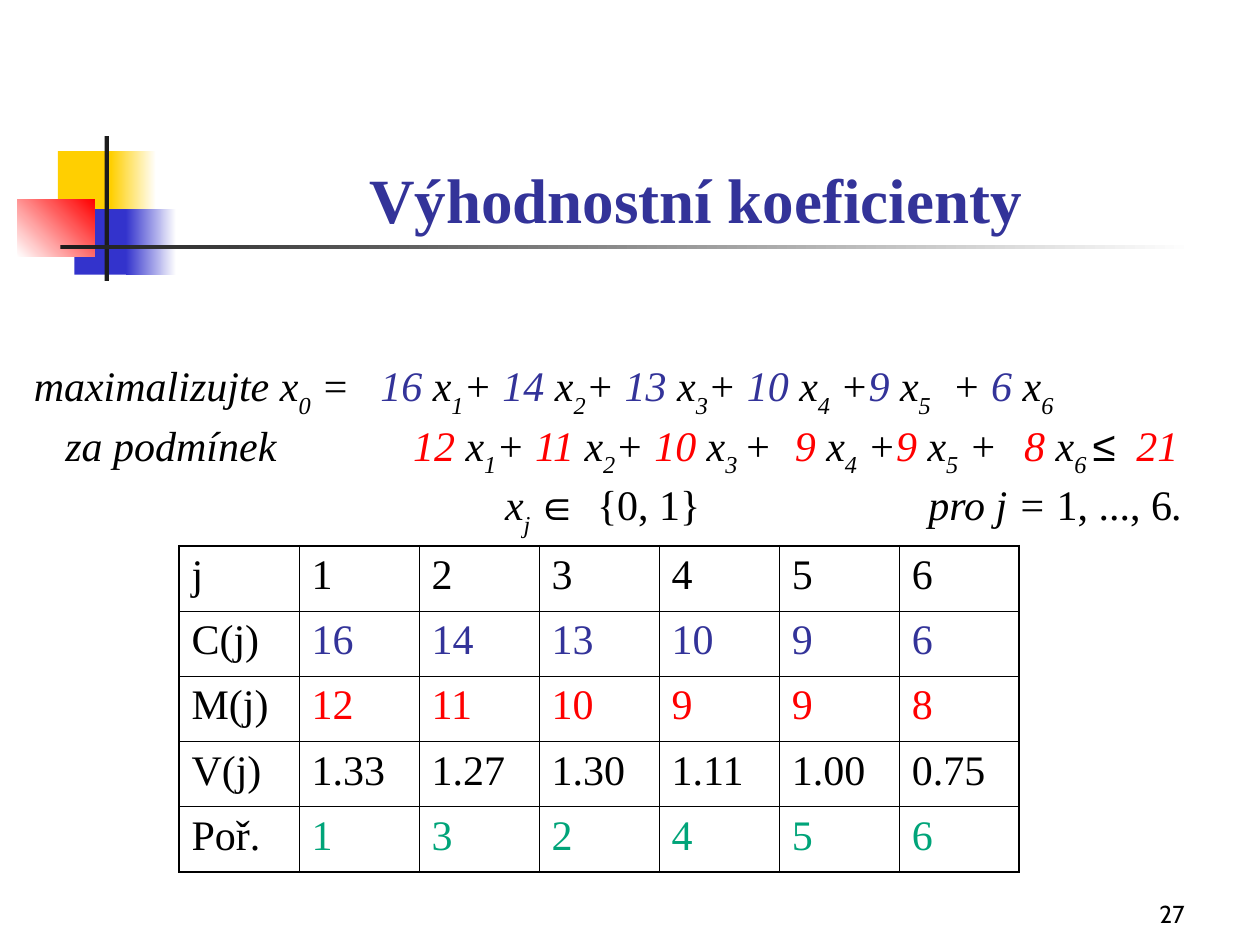
import pptx
import pptx.util
import pptx.dml.color
import pptx.enum.shapes
import pptx.enum.text
import pptx.oxml
import pptx.oxml.ns

RGB = pptx.dml.color.RGBColor
BLACK = RGB(0x00, 0x00, 0x00)
WHITE = RGB(0xFF, 0xFF, 0xFF)
DARK = RGB(0x1C, 0x1C, 0x1C)
GOLD = RGB(0xFF, 0xCF, 0x01)
BLUE = RGB(0x33, 0x33, 0xCC)
NAVY = RGB(0x33, 0x33, 0x99)
RED = RGB(0xFF, 0x00, 0x00)
GREEN = RGB(0x00, 0xA4, 0x79)
SERIF = "Times New Roman"
Pt = pptx.util.Pt
Inches = pptx.util.Inches
ALIGN = pptx.enum.text.PP_ALIGN
ANCHOR = pptx.enum.text.MSO_ANCHOR

deck = pptx.Presentation()
deck.slide_width, deck.slide_height = Inches(10), Inches(7.5)
slide = deck.slides.add_slide(deck.slide_layouts[6])
shapes = slide.shapes


def place(x, y, w, h):
    """Turn percentages of the slide's width and height into lengths."""
    wide, high = deck.slide_width / 100, deck.slide_height / 100
    return [round(n) for n in (x * wide, y * high, w * wide, h * high)]


def write(para, text, color=BLACK, size=24, face=SERIF, bold=False,
          slant=False, sub=False):
    run = para.add_run()
    run.text = text
    font = run.font
    font.name, font.size, font.bold, font.italic = face, Pt(size), bold, slant
    font.color.rgb = color
    if sub:
        run._r.get_or_add_rPr().set("baseline", "-30000")


# Corner ornament: start colour, end colour, angle
for box, start, end, angle in [
    ((4.6, 16, 4.8, 6.93), GOLD, GOLD, 0),
    ((8.8, 16, 3.6, 6.93), GOLD, WHITE, 0),
    ((5.9, 22.13, 4.6, 6.93), BLUE, BLUE, 0),
    ((10, 22.13, 4, 6.93), BLUE, WHITE, 0),
    ((1.4, 21.07, 6.1, 6.13), WHITE, RED, 45),
    ((8.3, 14.4, 0.35, 15.33), DARK, DARK, 0),
    ((4.8, 25.95, 90, 0.45), DARK, WHITE, 0),
]:
    block = shapes.add_shape(pptx.enum.shapes.MSO_SHAPE.RECTANGLE, *place(*box))
    block.shadow.inherit = False
    block.line.fill.background()
    if start == end:
        block.fill.solid()
        block.fill.fore_color.rgb = start
    else:
        block.fill.gradient()
        block.fill.gradient_angle = angle
        for stop, color in zip(block.fill.gradient_stops, (start, end)):
            stop.color.rgb = color

# Slide number and title
for box, align, text, style in [
    ((74.2, 92.27, 20.8, 6.67), ALIGN.RIGHT, "27",
     dict(size=14, face="Cabin")),
    ((12.6, 8.93, 85.2, 16.67), ALIGN.CENTER, "Výhodnostní koeficienty",
     dict(size=36, color=NAVY, bold=True)),
]:
    frame = shapes.add_textbox(*place(*box)).text_frame
    frame.word_wrap = True
    frame.vertical_anchor = ANCHOR.BOTTOM
    para = frame.paragraphs[0]
    para.alignment = align
    write(para, text, **style)

# The model: lead-in, coefficient colour, (coefficient, index, joint) terms
frame = shapes.add_textbox(*place(1.7, 37.4, 96.7, 20.4)).text_frame
frame.word_wrap = True
goal, limit, domain = [frame.paragraphs[0], frame.add_paragraph(),
                       frame.add_paragraph()]
for para, stops in [(goal, (2.75, 6.4, 7.29)),
                    (limit, (0.25, 3.01, 6.04, 7.86, 8.75)),
                    (domain, (3.74, 4.47, 7.1))]:
    tabs = pptx.oxml.parse_xml(
        f'<a:tabLst {pptx.oxml.ns.nsdecls("a")}>'
        + "".join(f'<a:tab pos="{Inches(at)}" algn="l"/>' for at in stops)
        + "</a:tabLst>")
    para._p.get_or_add_pPr().append(tabs)

write(goal, "maximalizujte x", slant=True)
write(goal, "0", slant=True, sub=True)
write(goal, " =\t", slant=True)
write(limit, "\tza podmínek\t", slant=True)
for para, color, terms in [
    (goal, NAVY, [("16 ", "1", "+ "), ("14 ", "2", "+ "), ("13 ", "3", "+ "),
                  ("10 ", "4", "\t+"), ("9 ", "5", "\t+ "), ("6 ", "6", "")]),
    (limit, RED, [("12 ", "1", "+ "), ("11 ", "2", "+ "), ("10 ", "3 ", "+\t"),
                  ("9 ", "4", " +"), ("9 ", "5", " +\t"), ("8 ", "6 ", "")]),
]:
    for count, index, joint in terms:
        write(para, count, color, slant=True)
        write(para, "x", slant=True)
        write(para, index, slant=True, sub=True)
        if joint:
            write(para, joint, slant=True)
write(limit, "≤\t", face="Arial", slant=True)
write(limit, "21", RED, slant=True)

write(domain, "\tx", slant=True)
write(domain, "j ", slant=True, sub=True)
write(domain, "∈\t", face="Arial", slant=True)
write(domain, "{0, 1}\t")
write(domain, "pro j = ", slant=True)
write(domain, "1, ..., 6")
write(domain, ".", slant=True)

# Coefficient table
rows = [
    (BLACK, "j", "1 2 3 4 5 6"),
    (NAVY, "C(j)", "16 14 13 10 9 6"),
    (RED, "M(j)", "12 11 10 9 9 8"),
    (BLACK, "V(j)", "1.33 1.27 1.30 1.11 1.00 0.75"),
    (GREEN, "Poř.", "1 3 2 4 5 6"),
]
high, wide = len(rows), 7
table = shapes.add_table(high, wide, *place(14.2, 57.75, 66.7, 34.55)).table
table.first_row = table.horz_banding = False
for r, (color, head, values) in enumerate(rows):
    for c, text in enumerate([head] + values.split()):
        cell = table.cell(r, c)
        write(cell.text_frame.paragraphs[0], text, color if c else BLACK)
        props = cell._tc.get_or_add_tcPr()
        for side, outer in [("L", c == 0), ("R", c == wide - 1),
                            ("T", r == 0), ("B", r == high - 1)]:
            props.append(pptx.oxml.parse_xml(
                f'<a:ln{side} {pptx.oxml.ns.nsdecls("a")} '
                f'w="{Pt(1.08 if outer else 0.45)}"><a:solidFill>'
                f'<a:srgbClr val="{BLACK}"/></a:solidFill></a:ln{side}>'))
        cell.fill.background()

deck.save("out.pptx")
